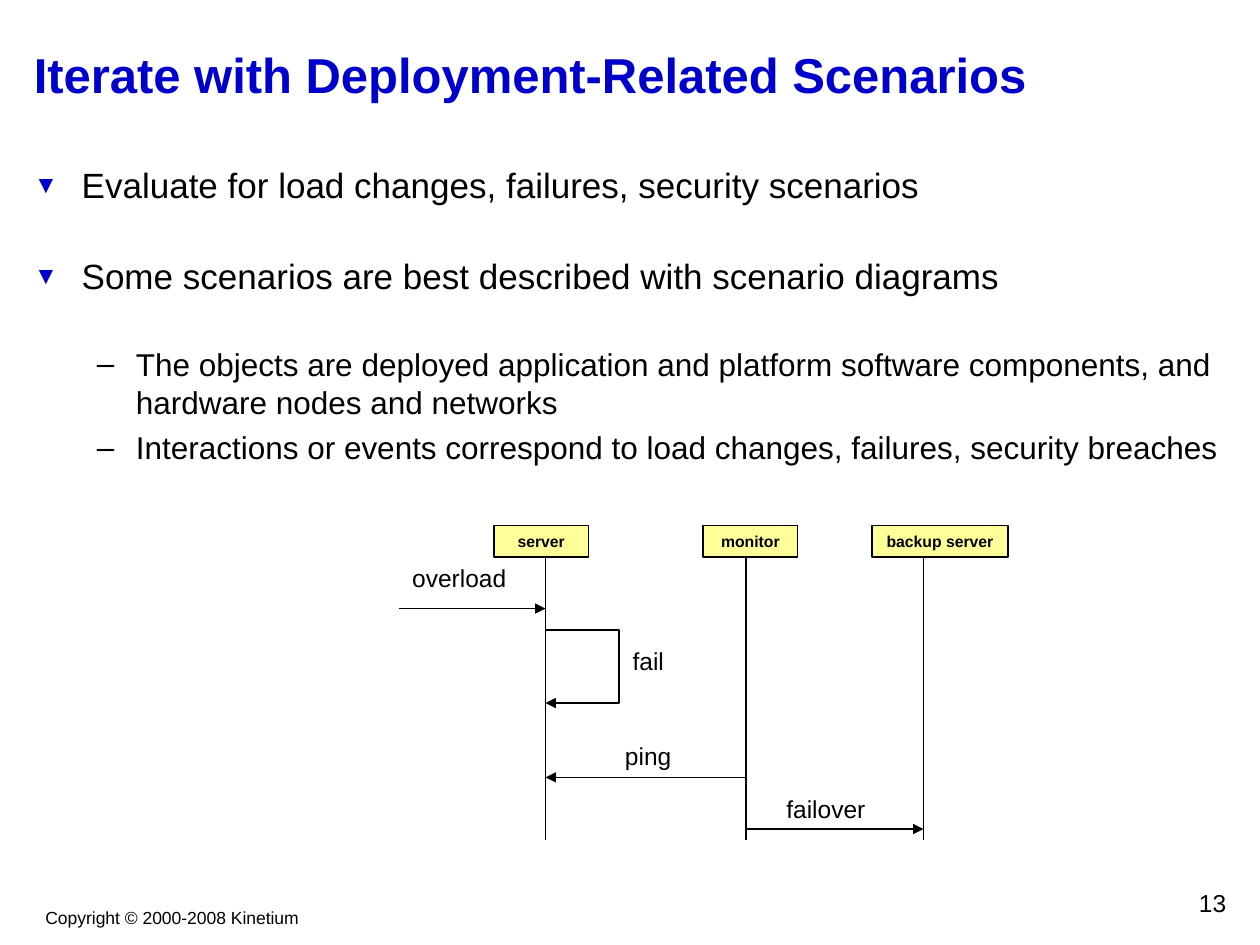
from dataclasses import dataclass

from lxml import etree
from pptx import Presentation
from pptx.dml.color import RGBColor
from pptx.enum.shapes import MSO_CONNECTOR, MSO_SHAPE
from pptx.enum.text import MSO_ANCHOR, PP_ALIGN
from pptx.oxml.ns import qn
from pptx.util import Inches, Pt

LEFT, CENTER, RIGHT = PP_ALIGN.LEFT, PP_ALIGN.CENTER, PP_ALIGN.RIGHT
TOP, MIDDLE = MSO_ANCHOR.TOP, MSO_ANCHOR.MIDDLE
STRAIGHT, RECTANGLE = MSO_CONNECTOR.STRAIGHT, MSO_SHAPE.RECTANGLE


@dataclass(frozen=True)
class Theme:
    font: str = "Arial"
    ink: str = "000000"
    accent: str = "0000CC"
    head_fill: str = "FFFF99"
    title: int = 28
    topic: int = 20
    detail: int = 18
    label: int = 14
    copyright: int = 10
    head: int = 9
    stroke: int = 1


THEME = Theme()

TITLE = "Iterate with Deployment-Related Scenarios"
COPYRIGHT = "Copyright © 2000-2008 Kinetium"
PAGE = "13"

BULLETS = [
    (0, "Evaluate for load changes, failures, security scenarios", 0),
    (0, "Some scenarios are best described with scenario diagrams", 28),
    (1, "The objects are deployed application and platform software components, "
        "and hardware nodes and networks", 27.5),
    (1, "Interactions or events correspond to load changes, failures, "
        "security breaches", 4.5),
]
LEVELS = [
    {"size": THEME.topic, "margin": 0.38, "hang": 0.38,
     "mark": "▼", "color": THEME.accent, "percent": 70},
    {"size": THEME.detail, "margin": 0.81, "hang": 0.31,
     "mark": "–", "color": THEME.ink, "percent": 100},
]

HEAD_TOP, HEAD_HEIGHT, LIFELINE_END = 4.17, 0.25, 6.67
HEAD_BOTTOM = HEAD_TOP + HEAD_HEIGHT
PARTICIPANTS = {
    "server": {"left": 3.92, "width": 0.75, "lifeline": 4.33},
    "monitor": {"left": 5.58, "width": 0.75, "lifeline": 5.92},
    "backup server": {"left": 6.92, "width": 1.08, "lifeline": 7.33},
}
SERVER, MONITOR, BACKUP = (p["lifeline"] for p in PARTICIPANTS.values())
MESSAGES = [
    (3.17, SERVER, 4.83),
    (MONITOR, SERVER, 6.17),
    (MONITOR, BACKUP, 6.58),
]
LABELS = [
    ("overload", 3.17, 4.42, 0.95),
    ("fail", 4.92, 5.08, 0.45),
    ("ping", 4.86, 5.83, 0.57),
    ("failover", 6.14, 6.25, 0.83),
]
LABEL_HEIGHT = 0.34
LOOP_TOP, LOOP_SIZE = 5, 0.58


def rgb(value):
    return RGBColor.from_string(value)


def style(paragraph, size, color=THEME.ink, bold=False):
    font = paragraph.font
    font.name, font.size, font.bold = THEME.font, Pt(size), bold
    font.color.rgb = rgb(color)


def write(shape, text, size, align=LEFT, anchor=TOP, wrap=True, **look):
    frame = shape.text_frame
    frame.word_wrap, frame.vertical_anchor = wrap, anchor
    paragraph = frame.paragraphs[0]
    paragraph.text, paragraph.alignment = text, align
    style(paragraph, size, **look)


def add_text(slide, box, *args, **options):
    write(slide.shapes.add_textbox(*map(Inches, box)), *args, **options)


def draw_line(shape, arrow=False):
    shape.line.color.rgb = rgb(THEME.ink)
    shape.line.width = Pt(THEME.stroke)
    if arrow:
        etree.SubElement(shape.line._get_or_add_ln(), qn("a:tailEnd"), type="triangle")


def add_line(slide, start, end, arrow=False):
    line = slide.shapes.add_connector(STRAIGHT, *map(Inches, start + end))
    draw_line(line, arrow)
    etree.SubElement(line._element.spPr, qn("a:effectLst"))


def add_bullet(paragraph, level):
    properties = paragraph._p.get_or_add_pPr()
    properties.set("marL", str(Inches(level["margin"])))
    properties.set("indent", str(-Inches(level["hang"])))
    color = etree.SubElement(properties, qn("a:buClr"))
    etree.SubElement(color, qn("a:srgbClr"), val=level["color"])
    etree.SubElement(properties, qn("a:buSzPct"), val=str(level["percent"] * 1000))
    etree.SubElement(properties, qn("a:buFont"), typeface=THEME.font)
    etree.SubElement(properties, qn("a:buChar"), char=level["mark"])


def add_bullets(slide):
    frame = slide.shapes.add_textbox(*map(Inches, (0.17, 1.25, 9.67, 2.75))).text_frame
    frame.word_wrap = True
    for index, (depth, text, gap) in enumerate(BULLETS):
        paragraph = frame.add_paragraph() if index else frame.paragraphs[0]
        paragraph.text, paragraph.level = text, depth
        paragraph.space_before = Pt(gap)
        add_bullet(paragraph, LEVELS[depth])
        style(paragraph, LEVELS[depth]["size"])


def add_fail_loop(slide):
    right, bottom = SERVER + LOOP_SIZE, LOOP_TOP + LOOP_SIZE
    corners = [(right, LOOP_TOP), (right, bottom), (SERVER, bottom)]
    builder = slide.shapes.build_freeform(Inches(SERVER), Inches(LOOP_TOP))
    builder.add_line_segments([tuple(map(Inches, c)) for c in corners], close=False)
    loop = builder.convert_to_shape()
    loop.shadow.inherit = False
    loop.fill.background()
    draw_line(loop, arrow=True)


def add_head(slide, name, left, width):
    box = (left, HEAD_TOP, width, HEAD_HEIGHT)
    head = slide.shapes.add_shape(RECTANGLE, *map(Inches, box))
    head.shadow.inherit = False
    head.fill.solid()
    head.fill.fore_color.rgb = rgb(THEME.head_fill)
    draw_line(head)
    write(head, name, THEME.head, CENTER, MIDDLE, wrap=False, bold=True)


def add_sequence(slide):
    for part in PARTICIPANTS.values():
        x = part["lifeline"]
        add_line(slide, (x, HEAD_BOTTOM), (x, LIFELINE_END))
    for start, end, y in MESSAGES:
        add_line(slide, (start, y), (end, y), arrow=True)
    add_fail_loop(slide)
    for text, left, top, width in LABELS:
        add_text(slide, (left, top, width, LABEL_HEIGHT), text, THEME.label,
                 CENTER, wrap=False)
    for name, part in PARTICIPANTS.items():
        add_head(slide, name, part["left"], part["width"])


def main():
    deck = Presentation()
    deck.slide_width, deck.slide_height = Inches(10), Inches(7.5)
    slide = deck.slides.add_slide(deck.slide_layouts[6])
    add_text(slide, (0.26, 7.15, 2.21, 0.27), COPYRIGHT, THEME.copyright,
             CENTER, wrap=False)
    add_text(slide, (0.17, 0.17, 9.67, 0.83), TITLE, THEME.title,
             anchor=MIDDLE, color=THEME.accent, bold=True)
    add_bullets(slide)
    add_sequence(slide)
    add_text(slide, (7.75, 7, 2.08, 0.33), PAGE, THEME.label, RIGHT)
    deck.save("out.pptx")


if __name__ == "__main__":
    main()
